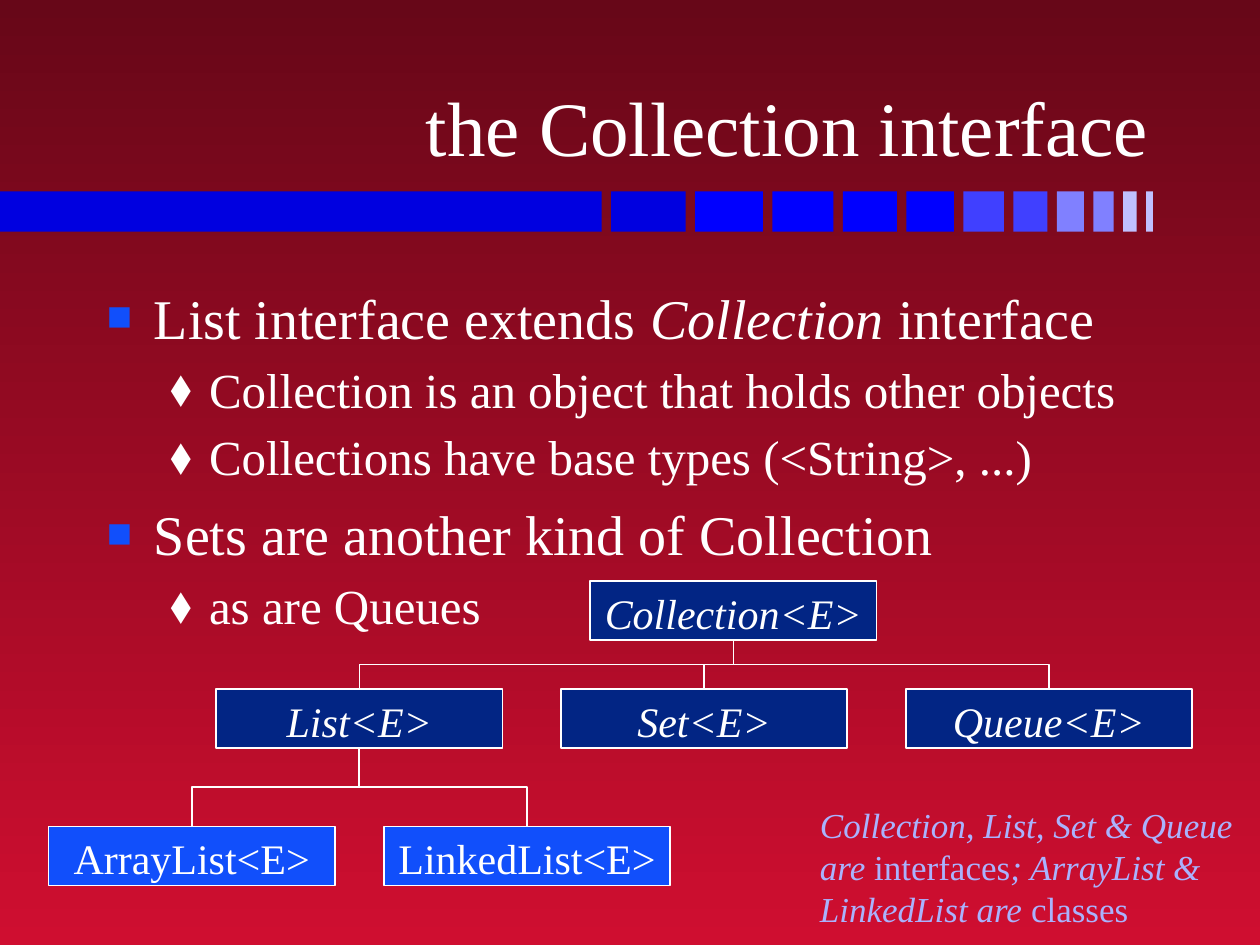
from dataclasses import dataclass
from typing import NamedTuple

from lxml.etree import SubElement as Sub
from pptx import Presentation
from pptx.dml.color import RGBColor as Rgb
from pptx.enum.shapes import MSO_CONNECTOR as Link, MSO_SHAPE as Form
from pptx.enum.text import MSO_ANCHOR as Anchor, MSO_AUTO_SIZE as Fit, PP_ALIGN as Align
from pptx.oxml.ns import qn
from pptx.util import Cm, Pt


@dataclass(frozen=True)
class Theme:
    font: str = "Times New Roman"
    white: str = "FFFFFF"
    dark: str = "022584"
    blue: str = "114FFB"
    pale: str = "AAB2FD"
    back: tuple = ("670718", "CF0E30")
    bars: tuple = ("C0C0FF", "C0C0FF", "8080FF", "8080FF", "4040FF", "4040FF",
                   "0000FF", "0000FF", "0000FF", "0000FF", "0000E0")
    head: int = 44
    main: int = 32
    minor: int = 28
    node: int = 24
    note: int = 20


class Span(NamedTuple):
    text: str
    slant: bool = False


class Level(NamedTuple):
    size: int
    left: float
    hang: float
    gap: int
    mark: str
    tint: str
    scale: int


class Item(NamedTuple):
    level: Level
    spans: list[Span]


class Node(NamedTuple):
    name: str
    x: float
    y: float
    root: str = ""
    solid: bool = False


LOOK = Theme()
MAIN = Level(LOOK.main, 0.95, 0.95, 8, "■", LOOK.blue, 75)
MINOR = Level(LOOK.minor, 2.06, 0.79, 5, "⬧", LOOK.white, 100)
ITEMS = [
    Item(MAIN, [Span("List interface extends "), Span("Collection", True), Span(" interface")]),
    Item(MINOR, [Span("Collection is an object that holds other objects")]),
    Item(MINOR, [Span("Collections have base types (<String>, ...)")]),
    Item(MAIN, [Span("Sets are another kind of Collection")]),
    Item(MINOR, [Span("as are Queues")]),
]
TOP = "Collection<E>"
KINDS = ["List<E>", "Set<E>", "Queue<E>"]
LISTS = ["ArrayList<E>", "LinkedList<E>"]
NODES = [
    Node(TOP, 11.9, 11.71),
    *[Node(name, 4.36 + 6.95 * i, 13.89, TOP) for i, name in enumerate(KINDS)],
    *[Node(name, 0.98 + 6.76 * i, 16.66, KINDS[0], True) for i, name in enumerate(LISTS)],
]
NOTE = [
    Span("Collection, List, Set & Queue are ", True), Span("interfaces"),
    Span("; ArrayList & LinkedList are ", True), Span("classes"),
]


def place(shape, x: float, y: float, w: float, h: float) -> None:
    shape.left, shape.top, shape.width, shape.height = Cm(x), Cm(y), Cm(w), Cm(h)


def write(para, spans: list[Span], size: int, tint: str = LOOK.white) -> None:
    for span in spans:
        run = para.add_run()
        run.text = span.text
        font = run.font
        font.name, font.size, font.italic = LOOK.font, Pt(size), span.slant
        font.color.rgb = Rgb.from_string(tint)


def block(slide, x: float, y: float, w: float, h: float, tint: str):
    shape = slide.shapes.add_shape(Form.RECTANGLE, Cm(x), Cm(y), Cm(w), Cm(h))
    shape.shadow.inherit = False
    shape.fill.solid()
    shape.fill.fore_color.rgb = Rgb.from_string(tint)
    shape.line.fill.background()
    return shape


def paint(slide) -> None:
    fill = slide.background.fill
    fill.gradient()
    fill.gradient_angle = 270
    for stop, tint in zip(fill.gradient_stops, LOOK.back):
        stop.color.rgb = Rgb.from_string(tint)


def strip(slide) -> None:
    y, high, edge, gap, span = 3.86, 0.81, 23.24, 0.19, 10.92
    count = len(LOOK.bars)
    step = (span - gap * (count - 1)) / (count * (count + 1) / 2)
    for i, tint in enumerate(LOOK.bars, 1):
        edge -= step * i
        block(slide, edge, y, step * i, high, tint)
        edge -= gap
    block(slide, 0, y, edge, high, LOOK.bars[-1])


def title(slide) -> None:
    shape = slide.shapes.title
    place(shape, 1.88, 0.48, 21.54, 3.12)
    frame = shape.text_frame
    frame.auto_size, frame.vertical_anchor = Fit.NONE, Anchor.BOTTOM
    para = frame.paragraphs[0]
    para.alignment = Align.RIGHT
    write(para, [Span("the Collection interface")], LOOK.head)


def bullet(para, level: Level) -> None:
    props = para._p.get_or_add_pPr()
    props.set("marL", str(Cm(level.left)))
    props.set("indent", str(-Cm(level.hang)))
    Sub(Sub(props, qn("a:buClr")), qn("a:srgbClr"), val=level.tint)
    Sub(props, qn("a:buSzPct"), val=str(level.scale * 1000))
    Sub(props, qn("a:buFont"), typeface=LOOK.font)
    Sub(props, qn("a:buChar"), char=level.mark)


def body(slide) -> None:
    shape = slide.placeholders[1]
    place(shape, 1.9, 5.58, 21.59, 11.43)
    frame = shape.text_frame
    frame.auto_size, frame.vertical_anchor = Fit.NONE, Anchor.TOP
    for i, item in enumerate(ITEMS):
        para = frame.add_paragraph() if i else frame.paragraphs[0]
        para.level = int(item.level is MINOR)
        bullet(para, item.level)
        para.space_before = Pt(item.level.gap if i else 0)
        write(para, item.spans, item.level.size)


def box(slide, node: Node):
    tint = LOOK.blue if node.solid else LOOK.dark
    shape = block(slide, node.x, node.y, 5.77, 1.19, tint)
    shape.line.color.rgb = Rgb.from_string(LOOK.white)
    shape.line.width = Pt(1)
    frame = shape.text_frame
    frame.word_wrap, frame.vertical_anchor = False, Anchor.TOP
    para = frame.paragraphs[0]
    para.alignment = Align.CENTER
    write(para, [Span(node.name, not node.solid)], LOOK.node)
    return shape


def join(slide, root, leaf) -> None:
    line = slide.shapes.add_connector(Link.ELBOW, 0, 0, 0, 0)
    line.begin_connect(root, 2)
    line.end_connect(leaf, 0)
    x, y = line.begin_x, line.begin_y
    run, drop = line.end_x - x, line.end_y - y
    line.left, line.top = x + (run - drop) // 2, y + (drop - abs(run)) // 2
    line.width, line.height = drop, abs(run)
    right = run > 0
    form = line.element.spPr.find(qn("a:xfrm"))
    form.set("rot", str((270 if right else 90) * 60000))
    form.set("flipH", str(int(right)))
    form.set("flipV", "0")
    line.line.color.rgb = Rgb.from_string(LOOK.white)
    line.line.width = Pt(1)
    Sub(line.element.spPr, qn("a:effectLst"))


def tree(slide) -> None:
    boxes = {node.name: box(slide, node) for node in NODES}
    for node in NODES:
        if node.root:
            join(slide, boxes[node.root], boxes[node.name])


def note(slide) -> None:
    shape = slide.shapes.add_textbox(Cm(16.28), Cm(16.08), Cm(9.12), Cm(2.79))
    frame = shape.text_frame
    frame.word_wrap = True
    write(frame.paragraphs[0], NOTE, LOOK.note, LOOK.pale)


def main() -> None:
    deck = Presentation()
    deck.slide_width, deck.slide_height = Cm(25.4), Cm(19.05)
    slide = deck.slides.add_slide(deck.slide_layouts[1])
    for draw in (paint, strip, title, body, tree, note):
        draw(slide)
    deck.save("out.pptx")


if __name__ == "__main__":
    main()
